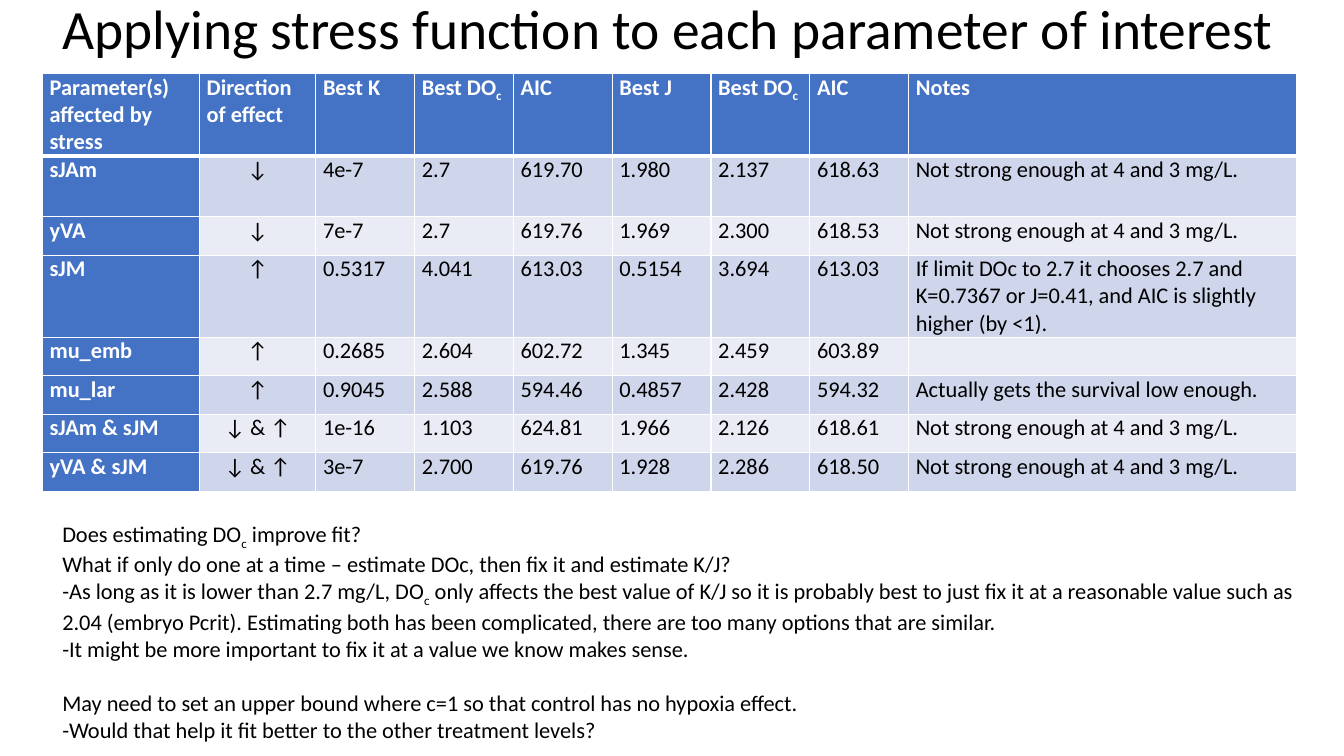
from lxml.etree import SubElement
from pptx import Presentation
from pptx.dml.color import RGBColor
from pptx.enum.text import MSO_ANCHOR, MSO_AUTO_SIZE, PP_ALIGN
from pptx.oxml.ns import qn
from pptx.util import Cm, Pt

BLACK = RGBColor(0x00, 0x00, 0x00)
WHITE = RGBColor(0xFF, 0xFF, 0xFF)
BLUE = RGBColor(0x44, 0x72, 0xC4)
BANDS = [RGBColor(0xE9, 0xEB, 0xF5), RGBColor(0xCF, 0xD5, 0xEA)]
WEAK = "Not strong enough at 4 and 3 mg/L."


def add_runs(paragraph, text, size=16, color=BLACK, bold=False):
    """Add text run by run; parts between bars are subscripts."""
    for i, part in enumerate(text.split("|")):
        if not part:
            continue
        run = paragraph.add_run()
        run.text = part
        run.font.name = "Calibri"
        run.font.size = Pt(size)
        run.font.bold = bold
        run.font.color.rgb = color
        if i % 2:
            run.font._element.set("baseline", "-25000")


def set_borders(cell, bottom_width):
    """Draw white cell borders, placed ahead of the cell fill."""
    properties = cell._tc.get_or_add_tcPr()
    for side, width in (("L", 1), ("R", 1), ("T", 1), ("B", bottom_width)):
        line = SubElement(properties, qn(f"a:ln{side}"), w=str(Pt(width)))
        fill = SubElement(line, qn("a:solidFill"))
        SubElement(fill, qn("a:srgbClr"), val=str(WHITE))


presentation = Presentation()
presentation.slide_width = Cm(33.87)
presentation.slide_height = Cm(19.05)
slide = presentation.slides.add_slide(presentation.slide_layouts[5])

# Title
title = slide.shapes.title
title.left, title.top, title.width, title.height = Cm(1.32), Cm(0.05), Cm(31.32), Cm(1.5)
title.text_frame.auto_size = MSO_AUTO_SIZE.NONE
title.text_frame.vertical_anchor = MSO_ANCHOR.MIDDLE
heading = title.text_frame.paragraphs[0]
heading.alignment = PP_ALIGN.LEFT
heading.line_spacing = 0.9
add_runs(heading, "Applying stress function to each parameter of interest", 39.6)

# Table of fits
fits = [
    ["Parameter(s) affected by stress", "Direction of effect", "Best K", "Best DO|c|", "AIC",
     "Best J", "Best DO|c|", "AIC", "Notes"],
    ["sJAm", "↓", "4e-7", "2.7", "619.70", "1.980", "2.137", "618.63", WEAK],
    ["yVA", "↓", "7e-7", "2.7", "619.76", "1.969", "2.300", "618.53", WEAK],
    ["sJM", "↑", "0.5317", "4.041", "613.03", "0.5154", "3.694", "613.03",
     "If limit DOc to 2.7 it chooses 2.7 and K=0.7367 or J=0.41, "
     "and AIC is slightly higher (by <1)."],
    ["mu_emb", "↑", "0.2685", "2.604", "602.72", "1.345", "2.459", "603.89", ""],
    ["mu_lar", "↑", "0.9045", "2.588", "594.46", "0.4857", "2.428", "594.32",
     "Actually gets the survival low enough."],
    ["sJAm & sJM", "↓ & ↑", "1e-16", "1.103", "624.81", "1.966", "2.126", "618.61", WEAK],
    ["yVA & sJM", "↓ & ↑", "3e-7", "2.700", "619.76", "1.928", "2.286", "618.50", WEAK],
]
column_widths = [3.96, 2.93] + [2.49] * 6 + [9.77]
row_heights = [1.53] * 2 + [0.97] * 6
table = slide.shapes.add_table(
    len(fits), len(column_widths), Cm(1.07), Cm(1.86),
    Cm(sum(column_widths)), Cm(sum(row_heights))).table
for column, width in zip(table.columns, column_widths):
    column.width = Cm(width)

for r, (fit, height) in enumerate(zip(fits, row_heights)):
    table.rows[r].height = Cm(height)
    for c, text in enumerate(fit):
        cell = table.cell(r, c)
        is_heading = r == 0 or c == 0
        set_borders(cell, 3 if r == 0 else 1)
        cell.fill.solid()
        cell.fill.fore_color.rgb = BLUE if is_heading else BANDS[r % 2]
        cell.margin_left = cell.margin_right = Cm(0.18)
        cell.margin_top = cell.margin_bottom = 0
        paragraph = cell.text_frame.paragraphs[0]
        if c == 1 and r > 0:
            paragraph.alignment = PP_ALIGN.CENTER
        add_runs(paragraph, text, color=WHITE if is_heading else BLACK, bold=is_heading)

# Remarks: text and space before in points
remarks = [
    ("Does estimating DO|c| improve fit?", 0),
    ("What if only do one at a time – estimate DOc, then fix it and estimate K/J?", 0),
    ("-As long as it is lower than 2.7 mg/L, DO|c| only affects the best value of K/J so it is "
     "probably best to just fix it at a reasonable value such as 2.04 (embryo Pcrit). Estimating "
     "both has been complicated, there are too many options that are similar.", 0),
    ("-It might be more important to fix it at a value we know makes sense.", 0),
    ("May need to set an upper bound where c=1 so that control has no hypoxia effect.", 19.5),
    ("-Would that help it fit better to the other treatment levels?", 0),
]
discussion = slide.shapes.add_textbox(Cm(1.32), Cm(12.98), Cm(32.21), Cm(5.74)).text_frame
discussion.word_wrap = True
for i, (text, gap) in enumerate(remarks):
    paragraph = discussion.add_paragraph() if i else discussion.paragraphs[0]
    paragraph.space_before = Pt(gap)
    add_runs(paragraph, text)

presentation.save("out.pptx")
